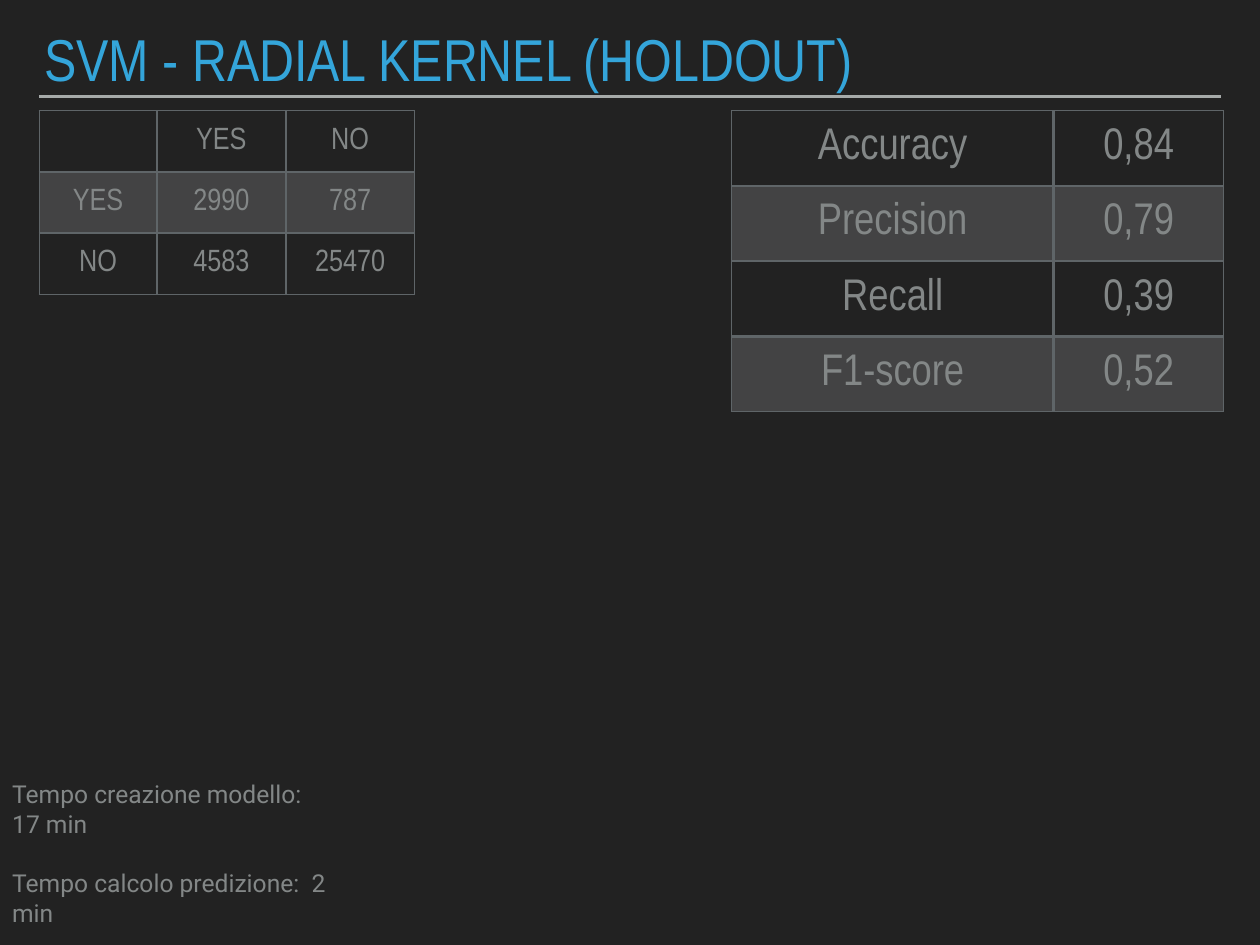
"""Build the slide with the results of the radial kernel SVM."""
from lxml import etree
from pptx import Presentation
from pptx.dml.color import RGBColor
from pptx.enum.shapes import MSO_CONNECTOR
from pptx.enum.text import MSO_ANCHOR, PP_ALIGN
from pptx.oxml import parse_xml
from pptx.oxml.ns import nsdecls, qn
from pptx.util import Cm, Pt

LINE = MSO_CONNECTOR.STRAIGHT
MIDDLE = MSO_ANCHOR.MIDDLE
CENTER, LEFT = PP_ALIGN.CENTER, PP_ALIGN.LEFT
NARROW, GREY, EDGE = "Arial Narrow", "838787", "5F6568"
PAD = Cm(0.15)


def paint(color, code):
    color.rgb = RGBColor.from_string(code)


def write(para, text, size, font, code, align=LEFT):
    para.alignment = align
    run = para.add_run()
    run.text = text
    run.font.size = Pt(size)
    run.font.name = font
    paint(run.font.color, code)


deck = Presentation()
deck.slide_width, deck.slide_height = Cm(36.12), Cm(27.1)
slide = deck.slides.add_slide(deck.slide_layouts[5])
back = slide.background.fill
back.solid()
paint(back.fore_color, "222222")

title = slide.shapes.title
title.left, title.top, title.width, title.height = Cm(1.12), Cm(0.86), Cm(33.86), Cm(2)
note = slide.shapes.add_textbox(Cm(0.2), Cm(22), Cm(9.47), Cm(4.93))
for box in (title, note):
    frame = box.text_frame
    frame.word_wrap = True
    frame.vertical_anchor = MIDDLE
    frame.margin_left = frame.margin_right = PAD
    frame.margin_top = frame.margin_bottom = PAD

head = title.text_frame.paragraphs[0]
head.line_spacing = 0.8
write(head, "SVM - RADIAL KERNEL (HOLDOUT)", 48, NARROW, "34A5DA")

first = note.text_frame.paragraphs[0]
write(first, "Tempo creazione modello: 17 min", 20, "Roboto", GREY)
second = note.text_frame.add_paragraph()
second.space_before = Pt(24)
write(second, "Tempo calcolo predizione:  2 min", 20, "Roboto", GREY)

rule = slide.shapes.add_connector(LINE, Cm(1.12), Cm(2.77), Cm(35), Cm(2.77))
rule.line.width = Pt(2)
paint(rule.line.color, "A6AAA9")
etree.SubElement(rule._element.spPr, qn("a:effectLst"))

scores = [("Accuracy", "0,84"), ("Precision", "0,79"), ("Recall", "0,39"), ("F1-score", "0,52")]
counts = [("", "YES", "NO"), ("YES", "2990", "787"), ("NO", "4583", "25470")]
grids = [
    (scores, 20.98, [9.22, 4.88], 2.16, 36),
    (counts, 1.12, [3.38, 3.69, 3.69], 1.76, 25),
]
for rows, left, widths, high, size in grids:
    tall, wide = len(rows), len(widths)
    shape = slide.shapes.add_table(tall, wide, Cm(left), Cm(3.17), Cm(sum(widths)), Cm(high * tall))
    table = shape.table
    for col, width in zip(table.columns, widths):
        col.width = Cm(width)
    for r, row in enumerate(rows):
        table.rows[r].height = Cm(high)
        for c, text in enumerate(row):
            cell = table.cell(r, c)
            cell.vertical_anchor = MIDDLE
            cell.margin_left = cell.margin_right = PAD
            cell.margin_top = cell.margin_bottom = PAD
            props = cell._tc.get_or_add_tcPr()
            outer = {"L": c == 0, "R": c == wide - 1, "T": r == 0, "B": r == tall - 1}
            for side, rim in outer.items():
                props.append(parse_xml(
                    f'<a:ln{side} {nsdecls("a")} w="{Pt(1 if rim else 2)}"><a:solidFill>'
                    f'<a:srgbClr val="{EDGE}"/></a:solidFill></a:ln{side}>'))
            if r % 2:
                cell.fill.solid()
                paint(cell.fill.fore_color, "DCDEE0")
                tint = props.find(qn("a:solidFill")).find(qn("a:srgbClr"))
                etree.SubElement(tint, qn("a:alpha"), val="18000")
            else:
                cell.fill.background()
            if text:
                write(cell.text_frame.paragraphs[0], text, size, NARROW, GREY, CENTER)
                cell.text_frame.paragraphs[0].runs[0].font.bold = False

deck.save("out.pptx")
